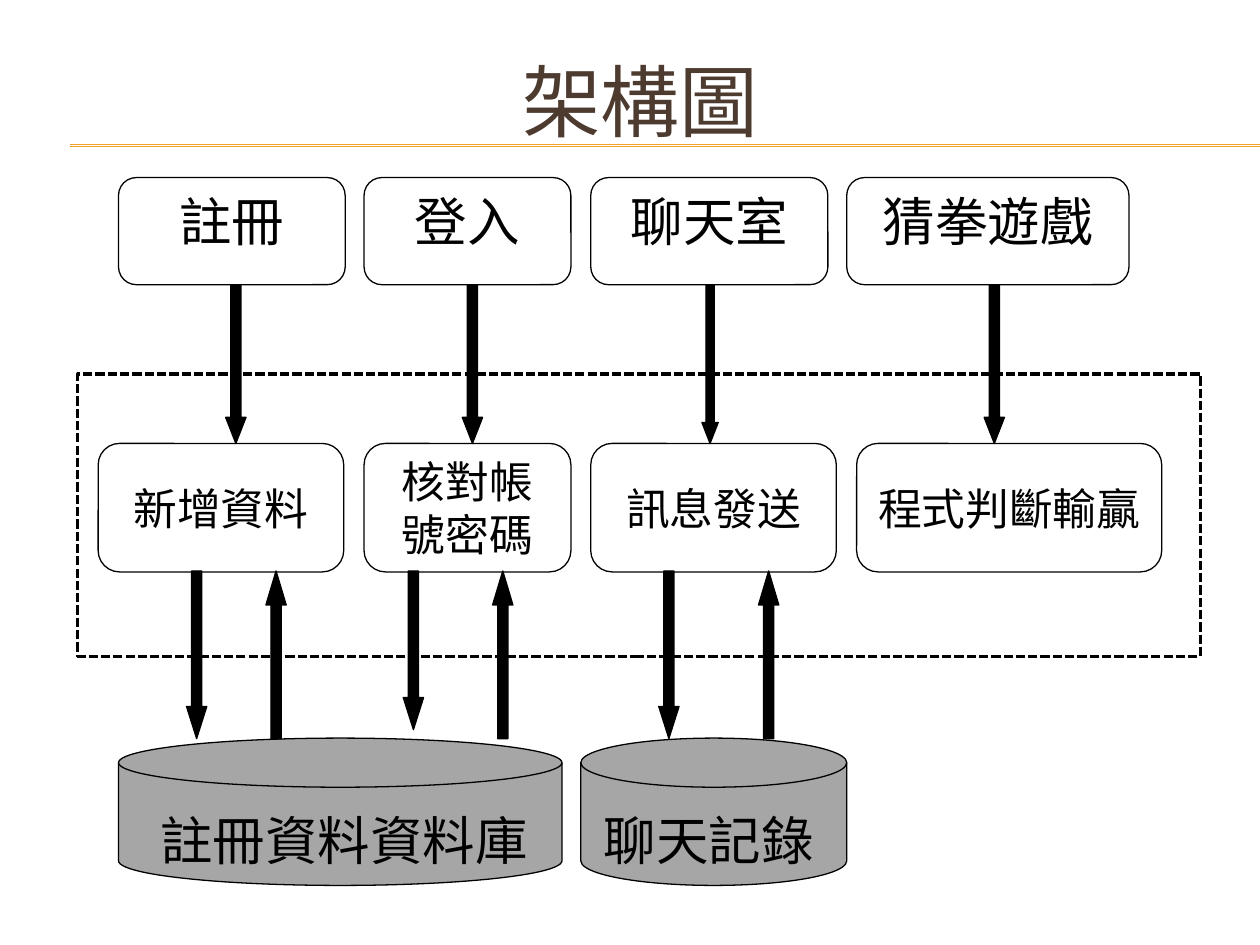
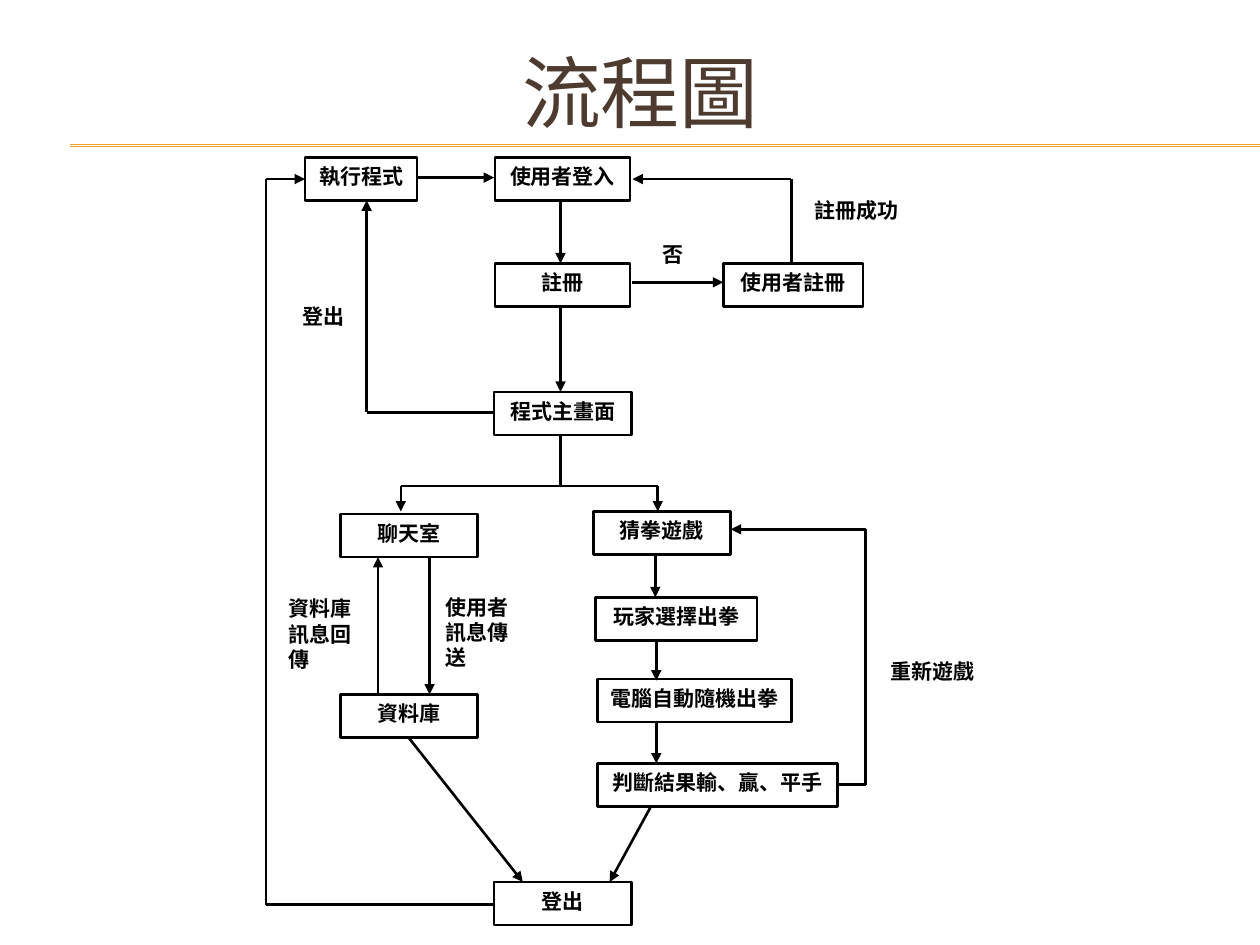
from itertools import pairwise

from lxml import etree
from pptx import Presentation
from pptx.dml.color import RGBColor
from pptx.enum.dml import MSO_LINE
from pptx.enum.shapes import MSO_CONNECTOR, MSO_SHAPE
from pptx.enum.text import MSO_ANCHOR, PP_ALIGN
from pptx.oxml.ns import qn
from pptx.util import Cm, Pt

RECT, ROUND = MSO_SHAPE.RECTANGLE, MSO_SHAPE.ROUNDED_RECTANGLE
DISK, DOWN = MSO_SHAPE.FLOWCHART_MAGNETIC_DISK, MSO_SHAPE.DOWN_ARROW
STRAIGHT, DASH = MSO_CONNECTOR.STRAIGHT, MSO_LINE.SQUARE_DOT
TOP, MIDDLE = MSO_ANCHOR.TOP, MSO_ANCHOR.MIDDLE
LEFT, CENTER = PP_ALIGN.LEFT, PP_ALIGN.CENTER

COLORS = {"ink": "000000", "paper": "FFFFFF", "title": "4E3B30",
          "rule": "F0A22E", "disk": "A6A6A6"}
CJK = "Noto Sans CJK SC"
TITLE = {"size": Pt(45), "name": "Cabin", "color": "title"}
BIG = {"size": Pt(30), "name": CJK, "color": "ink"}
MEDIUM = BIG | {"size": Pt(25)}
DISK_TEXT = BIG | {"name": "Calibri"}
SMALL = {"size": Pt(12), "name": "Calibri", "bold": True, "color": "ink"}


def add_box(s, kind, at, text="", font=SMALL, fill="paper", line=0.75,
            anchor=TOP, align=CENTER):
    """Add a shape at (left, top, width, height) in cm; fill or line may be None."""
    sp = s.shapes.add_shape(kind, *map(Cm, at))
    sp.shadow.inherit = False
    if fill:
        sp.fill.solid()
        sp.fill.fore_color.rgb = RGBColor.from_string(COLORS[fill])
    else:
        sp.fill.background()
    if line:
        sp.line.color.rgb = RGBColor.from_string(COLORS["ink"])
        sp.line.width = Pt(line)
    else:
        sp.line.fill.background()
    tf = sp.text_frame
    tf.word_wrap, tf.vertical_anchor = True, anchor
    if text:
        tf.text = text
        for p in tf.paragraphs:
            p.alignment = align
            f = p.runs[0].font
            for key, value in font.items():
                if key == "color":
                    f.color.rgb = RGBColor.from_string(COLORS[value])
                else:
                    setattr(f, key, value)
            latin = f._element.find(qn("a:latin"))
            ea = etree.Element(qn("a:ea"), typeface=CJK)
            latin.addnext(ea)
    return sp


def add_route(s, points, color="ink", width=1.5, arrow=True):
    """Join points (cm) with straight lines, with an arrowhead on the last."""
    for start, end in pairwise(points):
        c = s.shapes.add_connector(STRAIGHT, *map(Cm, start + end))
        c.line.color.rgb = RGBColor.from_string(COLORS[color])
        c.line.width = Pt(width)
        if arrow and end == points[-1]:
            etree.SubElement(c.line._get_or_add_ln(), qn("a:tailEnd"), type="triangle")
        etree.SubElement(c._element.spPr, qn("a:effectLst"))


prs = Presentation()
prs.slide_width, prs.slide_height = Cm(25.4), Cm(19.05)

# Shared title and rule
slides = []
for title, top, name in (("架構圖", 0.84, "Cabin"), ("流程圖", 0.66, "Arial")):
    s = prs.slides.add_slide(prs.slide_layouts[6])
    for y in (2.92, 2.95):
        add_route(s, [(1.42, y), (25.4, y)], "rule", 0.75, arrow=False)
    add_box(s, RECT, (0.84, top, 24.13, 2.34), title, TITLE | {"name": name},
            fill=None, line=None, anchor=MIDDLE)
    slides.append(s)
architecture, flow = slides

# Architecture: functions, processing, storage
s = architecture
frame = add_box(s, RECT, (1.57, 7.54, 22.63, 5.69), line=1.75)
frame.line.dash_style = DASH

for text, x, w in (("註冊", 2.39, 4.57), ("登入", 7.34, 4.17),
                   ("聊天室", 11.91, 4.78), ("猜拳遊戲", 17.07, 5.69)):
    add_box(s, ROUND, (x, 3.58, w, 2.16), text, BIG)

for text, x, w in (("新增資料", 1.98, 4.95), ("核對帳\n號密碼", 7.34, 4.17),
                   ("訊息發送", 11.91, 4.95), ("程式判斷輸贏", 17.27, 6.15)):
    add_box(s, ROUND, (x, 8.94, w, 2.59), text, MEDIUM, anchor=MIDDLE)

for text, x, w, indent in (("註冊資料資料庫", 2.39, 8.94, 0.84),
                           ("聊天記錄", 11.71, 5.36, 0.46)):
    sp = add_box(s, DISK, (x, 14.88, w, 2.97), text, DISK_TEXT, "disk",
                 anchor=MIDDLE, align=LEFT)
    sp.text_frame.margin_left, sp.text_frame.margin_top = Cm(indent), Cm(0.74)

arrow_rows = (  # top, rotation, head length, (left, width, height) of each arrow
    (5.74, 0, 1.28, ((4.55, 0.41, 3.2), (9.32, 0.41, 3.2),
                     (14.15, 0.33, 3.2), (19.84, 0.41, 3.2))),
    (11.51, 0, 1.58, ((3.76, 0.41, 3.38), (8.13, 0.41, 3.2), (13.28, 0.41, 3.38))),
    (11.51, 180, 1.67, ((5.36, 0.41, 3.38), (9.93, 0.41, 3.38), (15.29, 0.41, 3.38))),
)
for y, rotation, head, arrows in arrow_rows:
    for x, w, h in arrows:
        sp = add_box(s, DOWN, (x, y, w, h), fill="ink")
        sp.adjustments[0], sp.adjustments[1] = 0.5, head
        sp.rotation = rotation

# Flow chart: labels, steps, routes
s = flow
labels = (
    ("重新遊戲", 17.7, 13.16, 2.36, 0.86, LEFT),
    ("使用者訊息傳送", 8.74, 11.86, 2.16, 1.85, LEFT),
    ("資料庫訊息回傳", 5.56, 11.89, 2.01, 1.5, LEFT),
    ("登出", 5.84, 5.99, 1.55, 0.86, LEFT),
    ("否", 13.11, 4.75, 0.91, 0.86, CENTER),
    ("註冊成功", 16.08, 3.86, 2.36, 0.86, CENTER),
)
for text, *at, align in labels:
    add_box(s, RECT, at, text, line=None, align=align)

steps = (
    ("執行程式", 6.15, 3.18, 2.26),
    ("使用者登入", 9.98, 3.18, 2.72),
    ("註冊", 9.98, 5.31, 2.72),
    ("使用者註冊", 14.58, 5.31, 2.82),
    ("程式主畫面", 9.96, 7.9, 2.77),
    ("聊天室", 6.86, 10.36, 2.77),
    ("資料庫", 6.86, 14, 2.77),
    ("猜拳遊戲", 11.96, 10.31, 2.77),
    ("玩家選擇出拳", 12.01, 12.04, 3.25),
    ("電腦自動隨機出拳", 12.04, 13.69, 3.92),
    ("判斷結果輸、贏、平手", 12.04, 15.39, 4.85),
    ("登出", 9.96, 17.78, 2.77),
)
for text, x, y, w in steps:
    add_box(s, RECT, (x, y, w, 0.87), text, line=1.5)

routes = (
    [(8.41, 3.58), (9.96, 3.58)],
    [(11.3, 4.04), (11.3, 5.31)],
    [(12.75, 5.69), (14.58, 5.69)],
    [(15.95, 5.31), (15.95, 3.61), (12.75, 3.61)],
    [(11.3, 6.17), (11.3, 7.9)],
    [(9.96, 8.31), (7.39, 8.31), (7.39, 4.04)],
    [(11.3, 8.76), (11.3, 9.8), (8.08, 9.8), (8.08, 10.31)],
    [(11.3, 9.8), (13.26, 9.8), (13.26, 10.31)],
    [(8.66, 11.23), (8.66, 14)],
    [(7.62, 14), (7.62, 11.23)],
    [(13.21, 11.2), (13.21, 12.04)],
    [(13.23, 12.88), (13.23, 13.72)],
    [(13.23, 14.55), (13.23, 15.39)],
    [(16.89, 15.82), (17.45, 15.82), (17.45, 10.67), (14.73, 10.67)],
    [(8.23, 14.86), (10.54, 17.78)],
    [(13.11, 16.28), (12.29, 17.78)],
    [(9.96, 18.24), (5.36, 18.24), (5.36, 3.61), (6.15, 3.61)],
)
for points in routes:
    add_route(s, points)

prs.save("out.pptx")
